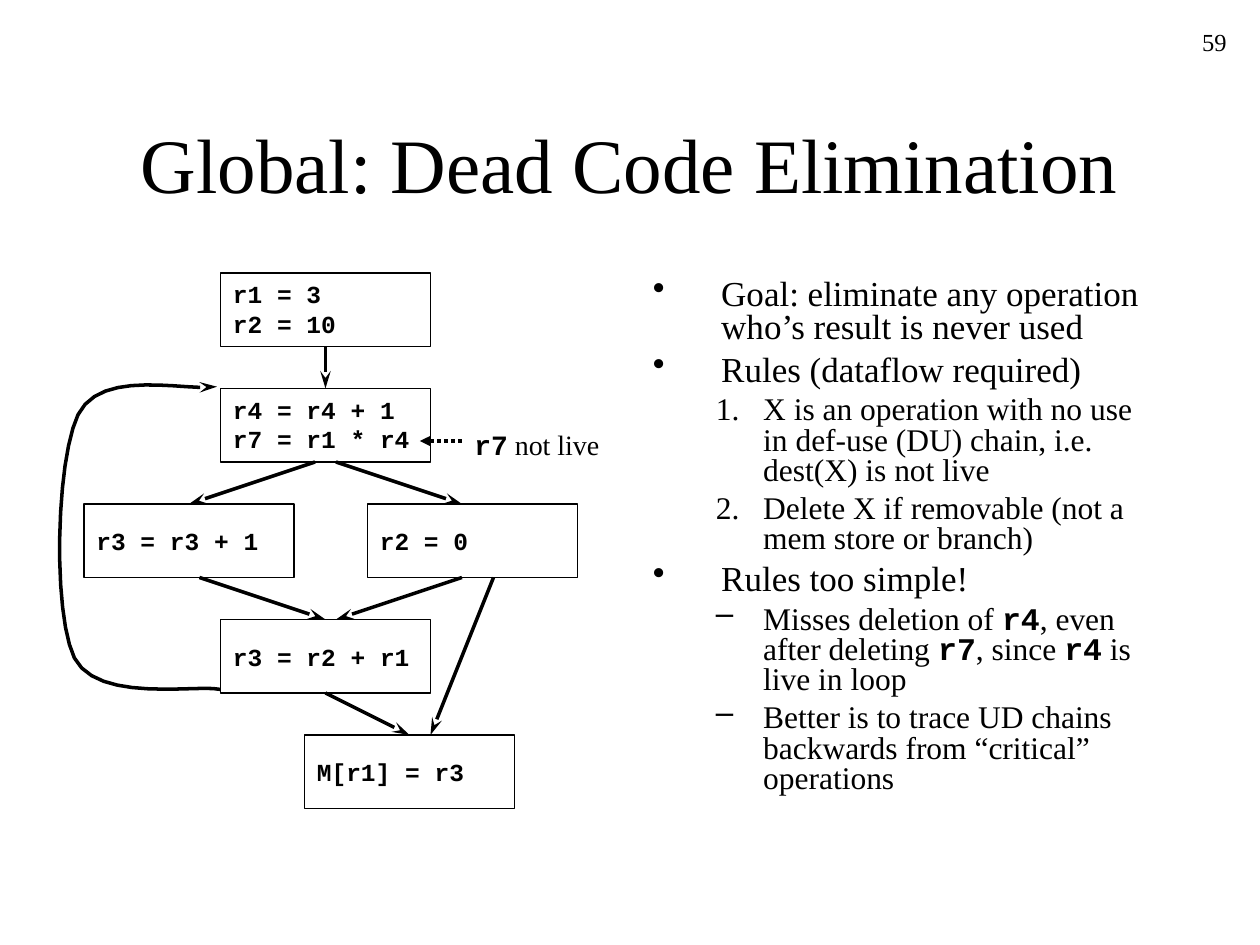
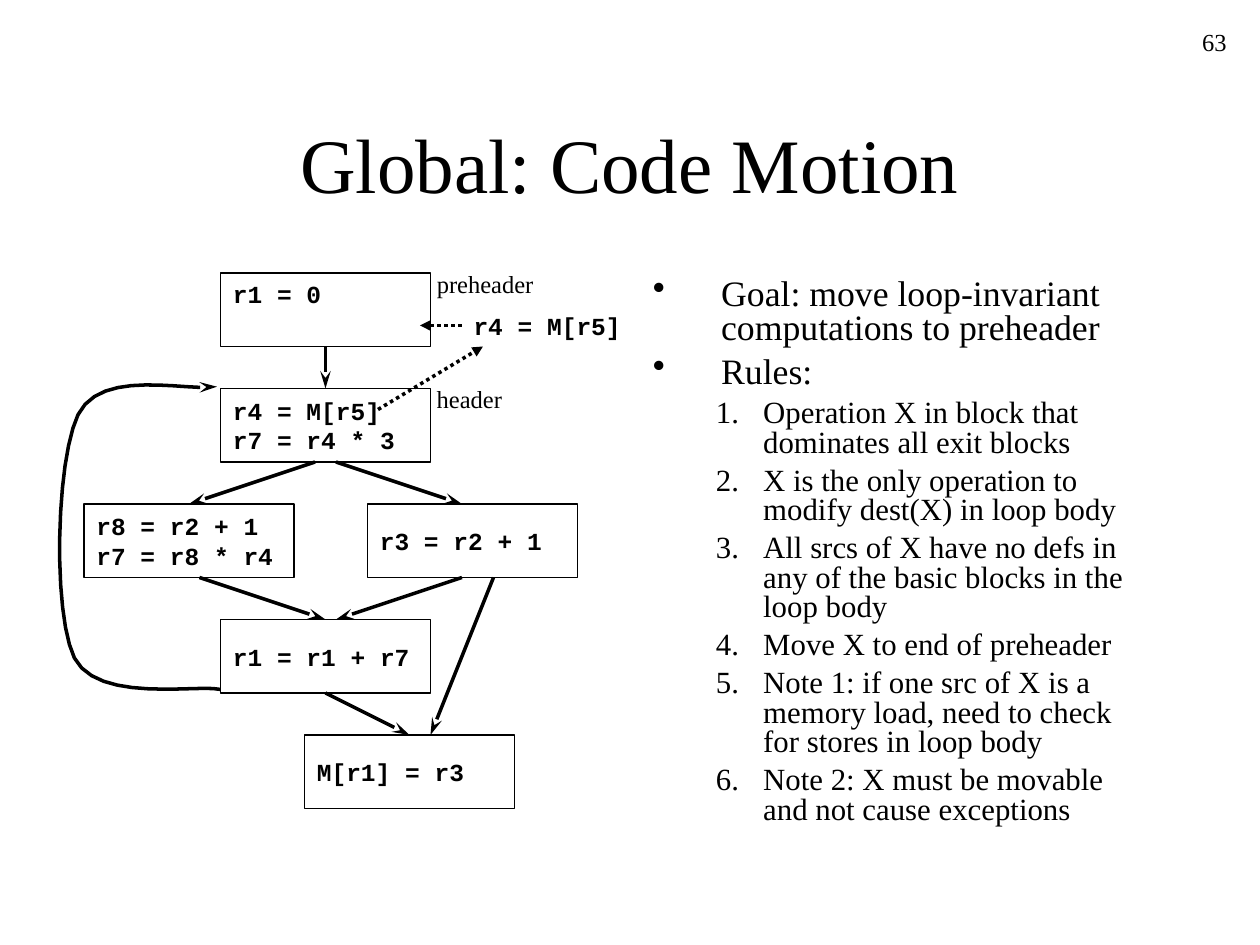
from dataclasses import dataclass

from lxml.etree import SubElement
from pptx import Presentation
from pptx.dml.color import RGBColor
from pptx.enum.dml import MSO_LINE
from pptx.enum.shapes import MSO_CONNECTOR as CONN, MSO_SHAPE as SHAPE
from pptx.enum.text import MSO_ANCHOR as ANCHOR, MSO_AUTO_SIZE as AUTO, PP_ALIGN as ALIGN
from pptx.oxml.ns import qn
from pptx.util import Pt


@dataclass(frozen=True)
class Theme:
    ink: RGBColor = RGBColor(0, 0, 0)
    paper: RGBColor = RGBColor(255, 255, 255)
    serif: str = "Times New Roman"
    mono: str = "Courier New"
    title: float = 44
    small: float = 14
    border: float = 0.75
    arrow: float = 2


T = Theme()

SLIDES = [
    {
        "title": "Global: Dead Code Elimination",
        "number": "59",
        "blocks": {
            "entry": "r1 = 3\nr2 = 10",
            "header": "r4 = r4 + 1\nr7 = r1 * r4",
            "left": "r3 = r3 + 1",
            "right": "r2 = 0",
            "join": "r3 = r2 + r1",
            "exit": "M[r1] = r3",
        },
        "top_blocks": ("entry", "header"),
        "sizes": (20, 18),
        "gaps": (5, 4.5),
        "body": [
            ("•", "Goal: eliminate any operation who’s result is never used"),
            ("•", "Rules (dataflow required)"),
            ("1", "X is an operation with no use in def-use (DU) chain, i.e. dest(X) is not live"),
            ("1", "Delete X if removable (not a mem store or branch)"),
            ("•", "Rules too simple!"),
            ("–", "Misses deletion of `r4`, even after deleting `r7`, since `r4` is live in loop"),
            ("–", "Better is to trace UD chains backwards from “critical” operations"),
        ],
        "labels": [("`r7` not live", 16, (264, 240.5, 86, 26.5))],
        "hints": [((264, 252), (240, 252))],
    },
    {
        "title": "Global: Code Motion",
        "number": "63",
        "blocks": {
            "entry": "r1 = 0",
            "header": "r4 = M[r5]\nr7 = r4 * 3",
            "left": "r8 = r2 + 1\nr7 = r8 * r4",
            "right": "r3 = r2 + 1",
            "join": "r1 = r1 + r7",
            "exit": "M[r1] = r3",
        },
        "top_blocks": ("entry",),
        "sizes": (20.4, 17.6),
        "gaps": (5.5, 4.8),
        "body": [
            ("•", "Goal: move loop-invariant computations to preheader"),
            ("•", "Rules:"),
            ("1", "Operation X in block that dominates all exit blocks"),
            ("1", "X is the only operation to modify dest(X) in loop body"),
            ("1", "All srcs of X have no defs in any of the basic blocks in the loop body"),
            ("1", "Move X to end of preheader"),
            ("1", "Note 1: if one src of X is a memory load, need to check for stores in loop body"),
            ("1", "Note 2: X must be movable and not cause exceptions"),
        ],
        "labels": [
            ("preheader", T.small, (242.5, 150, 70, 24.5)),
            ("header", T.small, (242.5, 216, 52, 24.5)),
            ("`r4 = M[r5]`", T.small, (263.5, 174, 98.5, 24.5)),
        ],
        "hints": [((216, 234), (276, 198)), ((264, 186), (240, 186))],
    },
]

BLOCK_W, BLOCK_H = 120, 42
TOP, PITCH = 156, 66
PLACES = {
    "entry": (126, 0), "header": (126, 1), "left": (48, 2),
    "right": (210, 2), "join": (126, 3), "exit": (174, 4),
}
EDGES = [
    ("entry", 186, "header", 186),
    ("header", 180, "left", 108),
    ("header", 192, "right", 264),
    ("left", 114, "join", 186),
    ("right", 264, "join", 192),
    ("join", 186, "exit", 234),
    ("right", 282, "exit", 246),
]
LOOP = [
    (126, 394), (112, 391), (56, 402), (42.5, 376), (30, 350),
    (32, 263.5), (44.6, 237), (58, 210), (107, 224), (124, 221),
]
LOOP_STEPS = 12


def pts(values):
    return [Pt(v) for v in values]


def add_runs(p, text, size):
    for i, piece in enumerate(text.split("`")):
        if not piece:
            continue
        code = i % 2 == 1
        r = p.add_run()
        r.text = piece
        r.font.size = Pt(size)
        r.font.name = T.mono if code else T.serif
        r.font.bold = code
        r.font.color.rgb = T.ink


def add_text(s, text, size, frame, align=ALIGN.LEFT, anchor=ANCHOR.TOP, wrap=True):
    tf = s.shapes.add_textbox(*pts(frame)).text_frame
    tf.word_wrap = wrap
    tf.auto_size = AUTO.NONE if wrap else AUTO.SHAPE_TO_FIT_TEXT
    tf.vertical_anchor = anchor
    p = tf.paragraphs[0]
    p.alignment = align
    add_runs(p, text, size)


def add_block(s, name, text, anchor):
    x, row = PLACES[name]
    sp = s.shapes.add_shape(SHAPE.RECTANGLE, *pts((x, TOP + row * PITCH, BLOCK_W, BLOCK_H)))
    sp.shadow.inherit = False
    sp.fill.background()
    sp.line.color.rgb = T.ink
    sp.line.width = Pt(T.border)
    tf = sp.text_frame
    tf.word_wrap = True
    tf.vertical_anchor = anchor
    p = tf.paragraphs[0]
    p.alignment = ALIGN.LEFT
    for i, line in enumerate(text.split("\n")):
        if i:
            p.add_line_break()
        add_runs(p, f"`{line}`", T.small)
    return sp


def style_arrow(sp, head, length="med"):
    sp.line.color.rgb = T.ink
    sp.line.width = Pt(T.arrow)
    if head == "triangle":
        sp.line.dash_style = MSO_LINE.ROUND_DOT
    SubElement(sp.line._get_or_add_ln(), qn("a:tailEnd"), type=head, w="med", len=length)


def add_arrow(s, start, end, head, length="med"):
    c = s.shapes.add_connector(CONN.STRAIGHT, *pts(start + end))
    style_arrow(c, head, length)
    SubElement(c._element.spPr, qn("a:effectLst"))
    return c


def add_edge(s, blocks, source, x1, target, x2):
    y1 = TOP + PLACES[source][1] * PITCH + BLOCK_H
    y2 = TOP + PLACES[target][1] * PITCH
    c = add_arrow(s, (x1, y1), (x2, y2), "stealth", "lg")
    if x1 == PLACES[source][0] + BLOCK_W / 2:
        c.begin_connect(blocks[source], 2)
    if x2 == PLACES[target][0] + BLOCK_W / 2:
        c.end_connect(blocks[target], 0)


def bezier(a, b, c, d, t):
    u = 1 - t
    return tuple(
        u**3 * i + 3 * u * u * t * j + 3 * u * t * t * k + t**3 * m
        for i, j, k, m in zip(a, b, c, d)
    )


def add_loop(s):
    curve = [
        bezier(*LOOP[i:i + 4], n / LOOP_STEPS)
        for i in range(0, len(LOOP) - 1, 3)
        for n in range(1, LOOP_STEPS + 1)
    ]
    fb = s.shapes.build_freeform(*pts(LOOP[0]), scale=1.0)
    fb.add_line_segments([pts(point) for point in curve], close=False)
    sp = fb.convert_to_shape()
    sp.shadow.inherit = False
    sp.fill.background()
    style_arrow(sp, "stealth", "lg")


def add_body(s, data):
    tf = s.shapes.add_textbox(*pts((366, 156, 300, 324))).text_frame
    tf.word_wrap = True
    for i, (mark, text) in enumerate(data["body"]):
        p = tf.add_paragraph() if i else tf.paragraphs[0]
        level = 0 if mark == "•" else 1
        indent, hang = ((39, 39), (63, 27))[level]
        pPr = p._p.get_or_add_pPr()
        pPr.set("marL", str(Pt(indent)))
        pPr.set("indent", str(-Pt(hang)))
        if mark == "1":
            SubElement(pPr, qn("a:buAutoNum"), type="arabicPeriod")
        else:
            SubElement(pPr, qn("a:buChar"), char=mark)
        p.level = level
        p.alignment = ALIGN.LEFT
        p.line_spacing = 0.8
        p.space_before = Pt(data["gaps"][level] if i else 0)
        add_runs(p, text, data["sizes"][level])


def build_slide(prs, data):
    s = prs.slides.add_slide(prs.slide_layouts[6])
    s.background.fill.solid()
    s.background.fill.fore_color.rgb = T.paper
    add_text(s, data["title"], T.title, (54, 48, 612, 90), ALIGN.CENTER, ANCHOR.MIDDLE)
    add_loop(s)
    blocks = {
        name: add_block(s, name, text, ANCHOR.TOP if name in data["top_blocks"] else ANCHOR.MIDDLE)
        for name, text in data["blocks"].items()
    }
    for edge in EDGES:
        add_edge(s, blocks, *edge)
    add_body(s, data)
    for text, size, frame in data["labels"]:
        add_text(s, text, size, frame, wrap=False)
    for start, end in data["hints"]:
        add_arrow(s, start, end, "triangle")
    add_text(s, data["number"], T.small, (558, 12, 150, 36), ALIGN.RIGHT)


def main():
    prs = Presentation()
    prs.slide_width, prs.slide_height = Pt(720), Pt(540)
    for data in SLIDES:
        build_slide(prs, data)
    prs.save("out.pptx")


if __name__ == "__main__":
    main()
